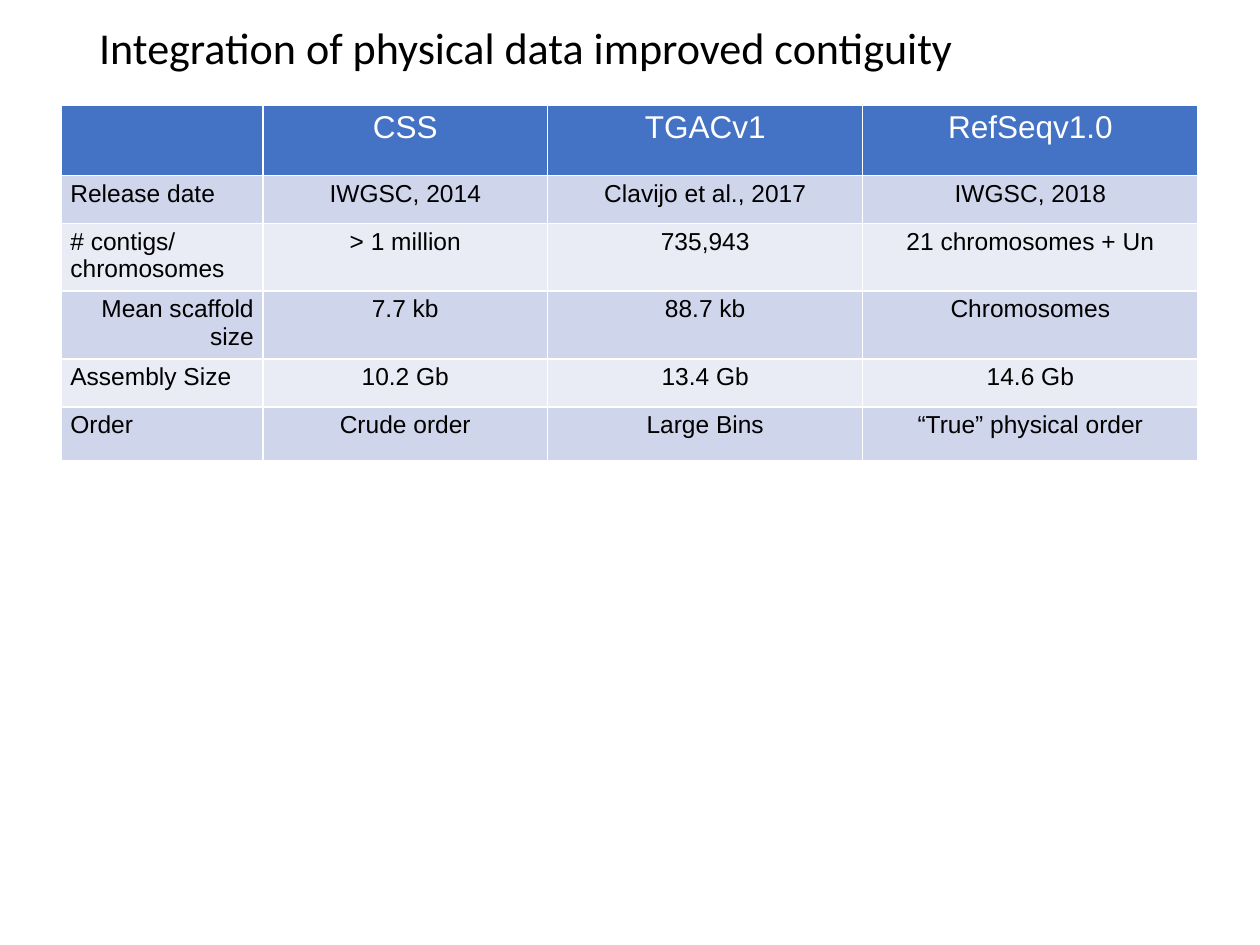
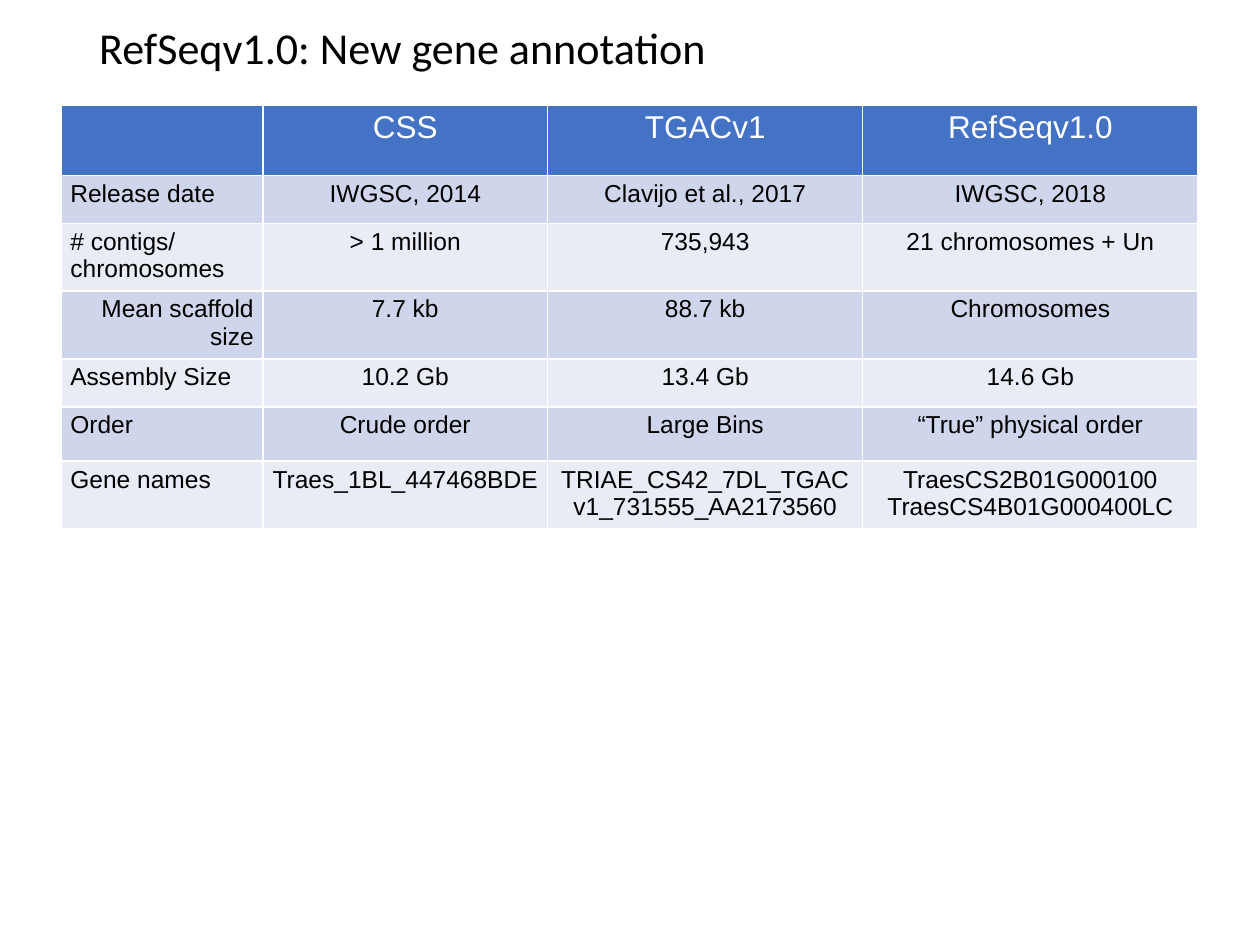
from pptx import Presentation
from pptx.dml.color import RGBColor
from pptx.enum.text import MSO_ANCHOR, PP_ALIGN
from pptx.util import Pt

LEFT, CENTER, RIGHT = PP_ALIGN.LEFT, PP_ALIGN.CENTER, PP_ALIGN.RIGHT
MIDDLE = MSO_ANCHOR.MIDDLE

BLACK = RGBColor(0x00, 0x00, 0x00)
WHITE = RGBColor(0xFF, 0xFF, 0xFF)
HEADER_BLUE = RGBColor(0x44, 0x72, 0xC4)
BANDS = (RGBColor(0xCF, 0xD5, 0xEA), RGBColor(0xE9, 0xEB, 0xF5))

COLUMN_WIDTHS = (115.2, 162.8, 180, 191.6)
HEADER_HEIGHT, ROW_HEIGHT, TALL_ROW_HEIGHT = 40.2, 27.4, 31

HEADER = ("", "CSS", "TGACv1", "RefSeqv1.0")
ASSEMBLY_ROWS = [
    ("Release date", "IWGSC, 2014", "Clavijo et al., 2017", "IWGSC, 2018"),
    ("# contigs/ chromosomes", "> 1 million", "735,943", "21 chromosomes + Un"),
    ("Mean scaffold size", "7.7 kb", "88.7 kb", "Chromosomes"),
    ("Assembly Size", "10.2 Gb", "13.4 Gb", "14.6 Gb"),
    ("Order", "Crude order", "Large Bins", "“True” physical order"),
]
GENE_NAMES = ("Gene names", "Traes_1BL_447468BDE", "TRIAE_CS42_7DL_TGACv1_731555_AA2173560",
              "TraesCS2B01G000100\nTraesCS4B01G000400LC")
TALL_ROWS = ("Order", "Gene names")
RIGHT_ALIGNED_LABELS = ("Mean scaffold size",)


class AssemblyDeck:
    """Builds slides that share a title style and a banded comparison table."""

    def __init__(self):
        self.presentation = Presentation()
        self.presentation.slide_width = Pt(720)
        self.presentation.slide_height = Pt(540)
        self.slide = None

    def add_slide(self, title):
        self.slide = self.presentation.slides.add_slide(self.presentation.slide_layouts[6])
        self.add_title(title)

    def style_paragraph(self, paragraph, font_name, size, color, alignment):
        paragraph.alignment = alignment
        paragraph.font.name = font_name
        paragraph.font.size = Pt(size)
        paragraph.font.bold = False
        paragraph.font.color.rgb = color

    def add_title(self, text):
        frame = self.slide.shapes.add_textbox(Pt(49.6), Pt(11.6), Pt(620.8), Pt(34.4)).text_frame
        frame.word_wrap = True
        frame.vertical_anchor = MIDDLE
        frame.text = text
        paragraph = frame.paragraphs[0]
        paragraph.line_spacing = 0.9
        self.style_paragraph(paragraph, "Calibri", 25.2, BLACK, LEFT)

    def add_table(self, rows):
        heights = [HEADER_HEIGHT] + [
            TALL_ROW_HEIGHT if row[0] in TALL_ROWS else ROW_HEIGHT for row in rows]
        table = self.slide.shapes.add_table(
            len(heights), len(COLUMN_WIDTHS), Pt(35), Pt(60),
            Pt(sum(COLUMN_WIDTHS)), Pt(sum(heights))).table
        for column, width in zip(table.columns, COLUMN_WIDTHS):
            column.width = Pt(width)
        for row, height in zip(table.rows, heights):
            row.height = Pt(height)
        for column_index, text in enumerate(HEADER):
            self.fill_cell(table.cell(0, column_index), text, HEADER_BLUE, 18, WHITE, CENTER)
        for row_index, row in enumerate(rows):
            label_alignment = RIGHT if row[0] in RIGHT_ALIGNED_LABELS else LEFT
            for column_index, text in enumerate(row):
                alignment = CENTER if column_index else label_alignment
                self.fill_cell(table.cell(row_index + 1, column_index), text,
                               BANDS[row_index % 2], 14, BLACK, alignment)

    def fill_cell(self, cell, text, fill, size, color, alignment):
        cell.fill.solid()
        cell.fill.fore_color.rgb = fill
        cell.margin_left = cell.margin_right = Pt(5.2)
        cell.margin_top = cell.margin_bottom = Pt(2.6)
        cell.text = text
        for paragraph in cell.text_frame.paragraphs:
            self.style_paragraph(paragraph, "Arial", size, color, alignment)


def main():
    deck = AssemblyDeck()
    deck.add_slide("Integration of physical data improved contiguity")
    deck.add_table(ASSEMBLY_ROWS)
    deck.add_slide("RefSeqv1.0: New gene annotation")
    deck.add_table(ASSEMBLY_ROWS + [GENE_NAMES])
    deck.presentation.save("out.pptx")


if __name__ == "__main__":
    main()
